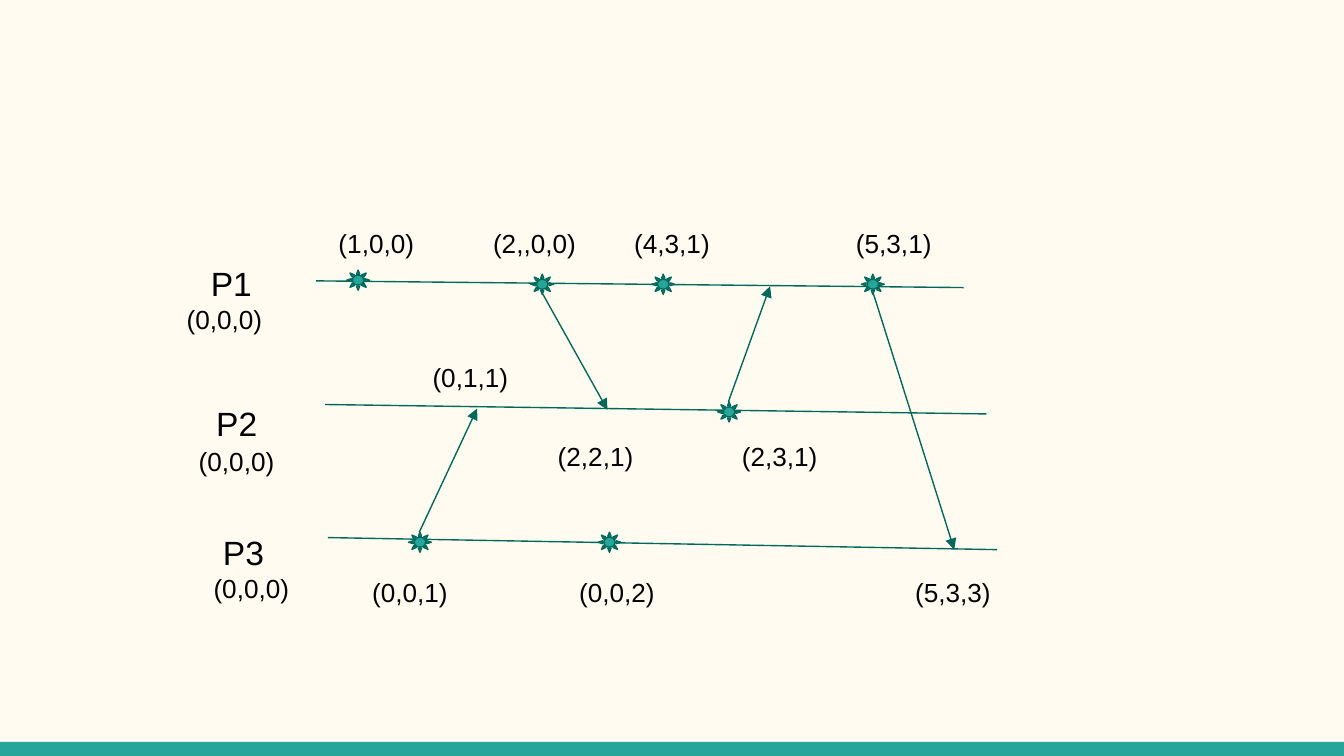
from dataclasses import dataclass

from lxml import etree
from pptx import Presentation
from pptx.dml.color import RGBColor
from pptx.enum.shapes import MSO_CONNECTOR, MSO_SHAPE
from pptx.enum.text import MSO_ANCHOR
from pptx.oxml.ns import qn
from pptx.util import Inches, Pt

STRAIGHT = MSO_CONNECTOR.STRAIGHT
RECT, SUN = MSO_SHAPE.RECTANGLE, MSO_SHAPE.SUN
TOP = MSO_ANCHOR.TOP

CREAM = RGBColor(0xFF, 0xFB, 0xF0)
TEAL = RGBColor(0x26, 0xA6, 0x9A)
DARK = RGBColor(0x00, 0x69, 0x5C)
BLACK = RGBColor(0, 0, 0)

WIDTH = 10
HEIGHT = WIDTH * 9 / 16
PAD = 0.1
SUN_W, SUN_H = 0.17, 0.15


@dataclass(frozen=True)
class Line:
    x1: float
    y1: float
    x2: float
    y2: float
    arrow: bool = False


@dataclass(frozen=True)
class Row:
    """Clock values in one box, set apart by tab stops."""
    box: tuple[float, ...]
    clocks: tuple[str, ...]
    tabs: tuple[float, ...] = ()
    inset: float = PAD


@dataclass(frozen=True)
class Process:
    """A process name above its starting clock."""
    name: str
    box: tuple[float, ...]
    indent: float
    top: float = PAD
    gap: float = 0


TIMES = (
    Line(2.35, 2.09, 7.17, 2.14),
    Line(2.42, 3.01, 7.34, 3.08),
    Line(2.44, 4, 7.42, 4.09),
)
SENDS = (
    Line(3.12, 3.96, 3.55, 3.04, True),
    Line(4.04, 2.19, 4.52, 3.05, True),
    Line(5.42, 2.99, 5.73, 2.13, True),
    Line(6.5, 2.19, 7.1, 4.09, True),
)
EVENTS = (
    (2.58, 2.01), (3.04, 3.96), (3.95, 2.04), (4.45, 3.96),
    (4.85, 2.04), (5.34, 2.99), (6.41, 2.04),
)
ROWS = (
    Row((2.42, 1.59, 4.75, 0.36),
        ("(1,0,0)", "(2,,0,0)", "(4,3,1)", "(5,3,1)"), (1.15, 2.2, 3.85)),
    Row((2.67, 4.19, 4.98, 0.45),
        ("(0,0,1)", "(0,0,2)", "(5,3,3)"), (1.54, 4.04)),
    Row((3.84, 3.18, 2.37, 0.3), ("(2,2,1)", "(2,3,1)"), (1.37,), 0.31),
    Row((3.12, 2.59, 0.81, 0.22), ("(0,1,1)",)),
)
NAMES = (
    Process("P1", (1.29, 1.86, 1.01, 0.45), 0.18),
    Process("P2", (1.38, 2.81, 0.92, 0.56), 0.13, 0.19, 1),
    Process("P3", (1.49, 3.86, 0.81, 0.45), 0.07),
)


def style(obj, form: dict) -> None:
    for key, value in form.items():
        setattr(obj, key, value)


def add_line(slide, line: Line) -> None:
    ends = (Inches(n) for n in (line.x1, line.y1, line.x2, line.y2))
    link = slide.shapes.add_connector(STRAIGHT, *ends)
    link.line.color.rgb = DARK
    link.line.width = Pt(0.75)
    if line.arrow:
        etree.SubElement(link.line._get_or_add_ln(), qn("a:tailEnd"),
                         type="triangle")
    etree.SubElement(link._element.spPr, qn("a:effectLst"))


def add_solid(slide, kind, box: tuple[float, ...]):
    shape = slide.shapes.add_shape(kind, *map(Inches, box))
    shape.shadow.inherit = False
    shape.fill.solid()
    shape.fill.fore_color.rgb = TEAL
    shape.line.fill.background()
    return shape


def add_event(slide, x: float, y: float) -> None:
    sun = add_solid(slide, SUN, (x, y, SUN_W, SUN_H))
    sun.line.color.rgb = DARK
    sun.line.width = Pt(0.75)


def add_box(slide, box: tuple[float, ...], left: float, top: float):
    frame = slide.shapes.add_textbox(*map(Inches, box)).text_frame
    style(frame, {
        "word_wrap": True, "vertical_anchor": TOP,
        "margin_left": Inches(left), "margin_top": Inches(top),
        "margin_right": Inches(PAD), "margin_bottom": Inches(PAD),
    })
    return frame


def add_text(para, text: str, size: float) -> None:
    run = para.add_run()
    run.text = text
    style(run.font, {"name": "Arial", "size": Pt(size)})
    run.font.color.rgb = BLACK


def add_row(slide, row: Row) -> None:
    para = add_box(slide, row.box, row.inset, PAD).paragraphs[0]
    if row.tabs:
        stops = etree.SubElement(para._p.get_or_add_pPr(), qn("a:tabLst"))
        for stop in row.tabs:
            etree.SubElement(stops, qn("a:tab"), pos=str(Inches(stop)),
                             algn="l")
    add_text(para, "\t".join(row.clocks), 14)


def add_name(slide, proc: Process) -> None:
    frame = add_box(slide, proc.box, PAD, proc.top)
    head = frame.paragraphs[0]
    head._p.get_or_add_pPr().set("marL", str(Inches(proc.indent)))
    head.space_after = Pt(proc.gap)
    add_text(head, proc.name, 18)
    add_text(frame.add_paragraph(), "(0,0,0)", 14)


def main() -> None:
    deck = Presentation()
    deck.slide_width, deck.slide_height = Inches(WIDTH), Inches(HEIGHT)
    slide = deck.slides.add_slide(deck.slide_layouts[6])

    # Background and bottom band
    slide.background.fill.solid()
    slide.background.fill.fore_color.rgb = CREAM
    add_solid(slide, RECT, (0, 5.52, WIDTH, HEIGHT - 5.52))

    # Time lines, events and messages
    for line in TIMES:
        add_line(slide, line)
    for x, y in EVENTS:
        add_event(slide, x, y)
    for line in SENDS:
        add_line(slide, line)

    # Clock values and process names
    for row in ROWS:
        add_row(slide, row)
    for proc in NAMES:
        add_name(slide, proc)

    deck.save("out.pptx")


if __name__ == "__main__":
    main()
